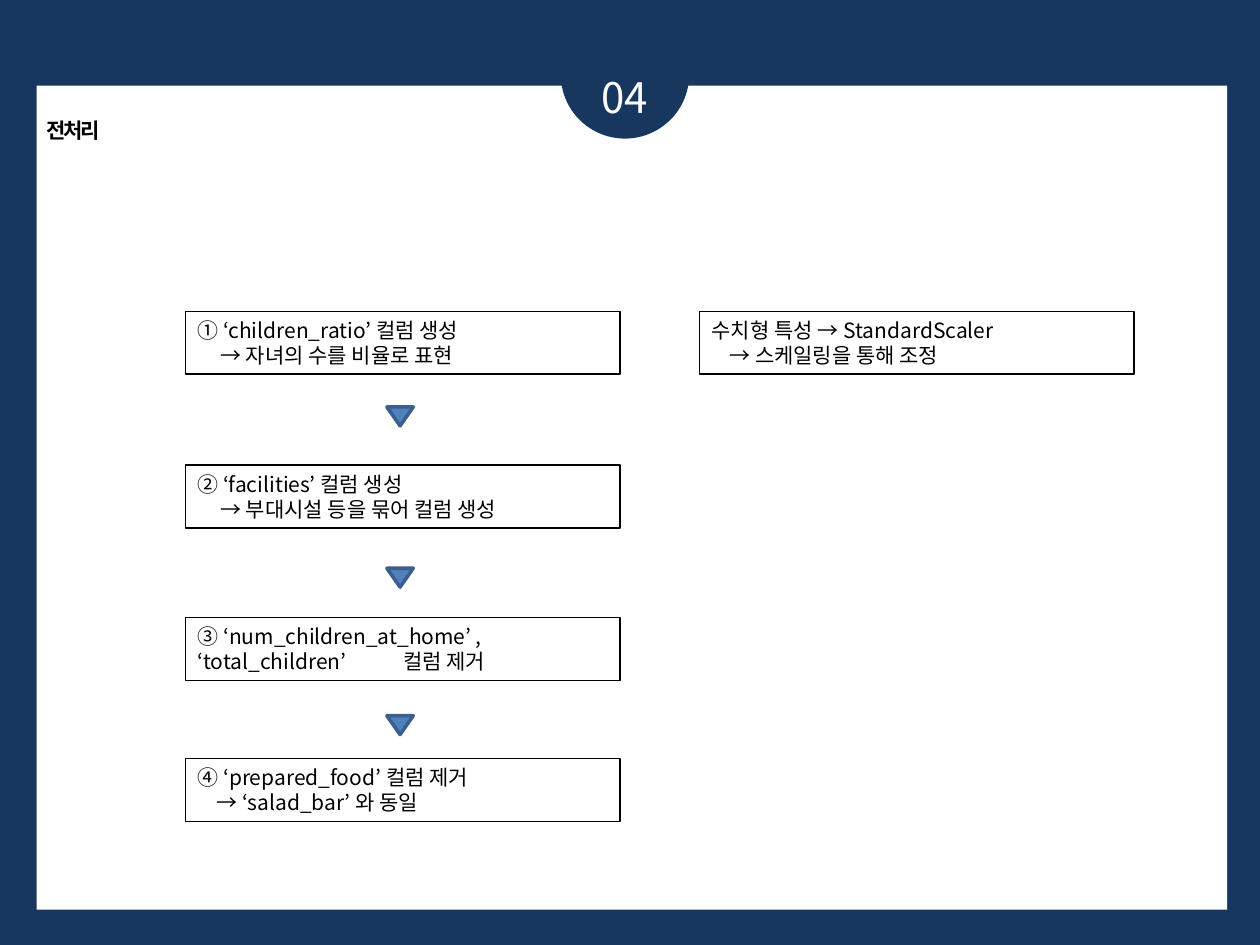
from lxml.etree import SubElement
from pptx import Presentation
from pptx.dml.color import RGBColor
from pptx.enum.shapes import MSO_SHAPE
from pptx.enum.text import MSO_ANCHOR, MSO_AUTO_SIZE, PP_ALIGN
from pptx.oxml.ns import qn
from pptx.util import Inches, Pt

NAVY = RGBColor(0x17, 0x37, 0x5E)
WHITE = RGBColor(0xFF, 0xFF, 0xFF)
BLACK = RGBColor(0, 0, 0)
BLUE = RGBColor(0x4F, 0x81, 0xBD)
DARK_BLUE = RGBColor(0x3A, 0x5F, 0x8C)
FONT = "Noto Sans CJK KR"

BOX_WIDTH, BOX_HEIGHT = 3.45, 0.5
STEP_LEFT, SCALING_LEFT, TOP = 1.47, 5.55, 2.47
STEPS = [
    (TOP, ["① ‘children_ratio’ 컬럼 생성", "→ 자녀의 수를 비율로 표현"], 0.18),
    (3.69, ["② ‘facilities’ 컬럼 생성", "→ 부대시설 등을 묶어 컬럼 생성"], 0.18),
    (4.9, ["③ ‘num_children_at_home’ , ‘total_children’\t컬럼 제거"], 0),
    (6.02, ["④ ‘prepared_food’ 컬럼 제거", "→ ‘salad_bar’ 와 동일"], 0.15),
]
SCALING = ["수치형 특성 → StandardScaler", "→ 스케일링을 통해 조정"]
ARROW_TOPS = [3.23, 4.51, 5.68]


def add_plain_shape(page, kind, left, top, width, height, fill=None, line=None, line_width=0.75):
    shape = page.shapes.add_shape(kind, Inches(left), Inches(top), Inches(width), Inches(height))
    shape.shadow.inherit = False
    if fill is None:
        shape.fill.background()
    else:
        shape.fill.solid()
        shape.fill.fore_color.rgb = fill
    if line is None:
        shape.line.fill.background()
    else:
        shape.line.color.rgb = line
        shape.line.width = Pt(line_width)
    return shape


def format_paragraph(paragraph, size, color, align=PP_ALIGN.LEFT, bold=False):
    """Set alignment and font, for Latin and Korean letters alike."""
    paragraph.alignment = align
    font = paragraph.font
    font.size = Pt(size)
    font.bold = bold
    font.color.rgb = color
    font.name = FONT
    properties = paragraph._p.pPr.find(qn("a:defRPr"))
    SubElement(properties, qn("a:ea")).set("typeface", FONT)
    return properties


def add_tab_stop(paragraph, position):
    tabs = SubElement(paragraph._p.get_or_add_pPr(), qn("a:tabLst"))
    SubElement(tabs, qn("a:tab"), pos=str(Inches(position)), algn="l")


def add_note_box(page, left, top, lines, indent):
    """Add an outlined box whose second line is indented."""
    box = add_plain_shape(page, MSO_SHAPE.RECTANGLE, left, top, BOX_WIDTH, BOX_HEIGHT, line=BLACK)
    frame = box.text_frame
    frame.word_wrap = True
    frame.vertical_anchor = MSO_ANCHOR.TOP
    frame.text = "\n".join(lines)
    for number, paragraph in enumerate(frame.paragraphs):
        if number > 0:
            paragraph._p.get_or_add_pPr().set("marL", str(Inches(indent)))
        if "\t" in paragraph.text:
            add_tab_stop(paragraph, 1.63)
        format_paragraph(paragraph, 12, BLACK)


def add_down_arrow(page, top):
    arrow = add_plain_shape(page, MSO_SHAPE.ISOSCELES_TRIANGLE, 3.07, top, 0.21, 0.15,
                            BLUE, DARK_BLUE, 2)
    arrow.rotation = 180


def add_title(page, text):
    title = page.shapes.title
    title.left, title.top = Inches(0.26), Inches(0.88)
    title.width, title.height = Inches(0.64), Inches(0.3)
    frame = title.text_frame
    frame.text = text
    frame.word_wrap = False
    frame.auto_size = MSO_AUTO_SIZE.NONE
    frame.vertical_anchor = MSO_ANCHOR.TOP
    properties = format_paragraph(frame.paragraphs[0], 12, BLACK, PP_ALIGN.CENTER, bold=True)
    properties.set("spc", "-150")
    # Bring the title in front of the white panel.
    page.shapes._spTree.append(title._element)


def add_section_number(page, text):
    box = page.shapes.add_textbox(Inches(4.37), Inches(0.52), Inches(1.18), Inches(0.5))
    box.text_frame.word_wrap = True
    box.text_frame.text = text
    format_paragraph(box.text_frame.paragraphs[0], 24, WHITE, PP_ALIGN.CENTER)


def main():
    deck = Presentation()
    deck.slide_width, deck.slide_height = Inches(10), Inches(7.5)
    page = deck.slides.add_slide(deck.slide_layouts[5])
    page.background.fill.solid()
    page.background.fill.fore_color.rgb = NAVY

    add_plain_shape(page, MSO_SHAPE.RECTANGLE, 0.29, 0.68, 9.45, 6.54, WHITE)
    add_plain_shape(page, MSO_SHAPE.OVAL, 4.45, 0.08, 1.02, 1.02, NAVY)
    add_title(page, "전처리")
    add_section_number(page, "04")

    for top, lines, indent in STEPS:
        add_note_box(page, STEP_LEFT, top, lines, indent)
    for top in ARROW_TOPS:
        add_down_arrow(page, top)
    add_note_box(page, SCALING_LEFT, TOP, SCALING, 0.14)

    deck.save("out.pptx")


if __name__ == "__main__":
    main()
